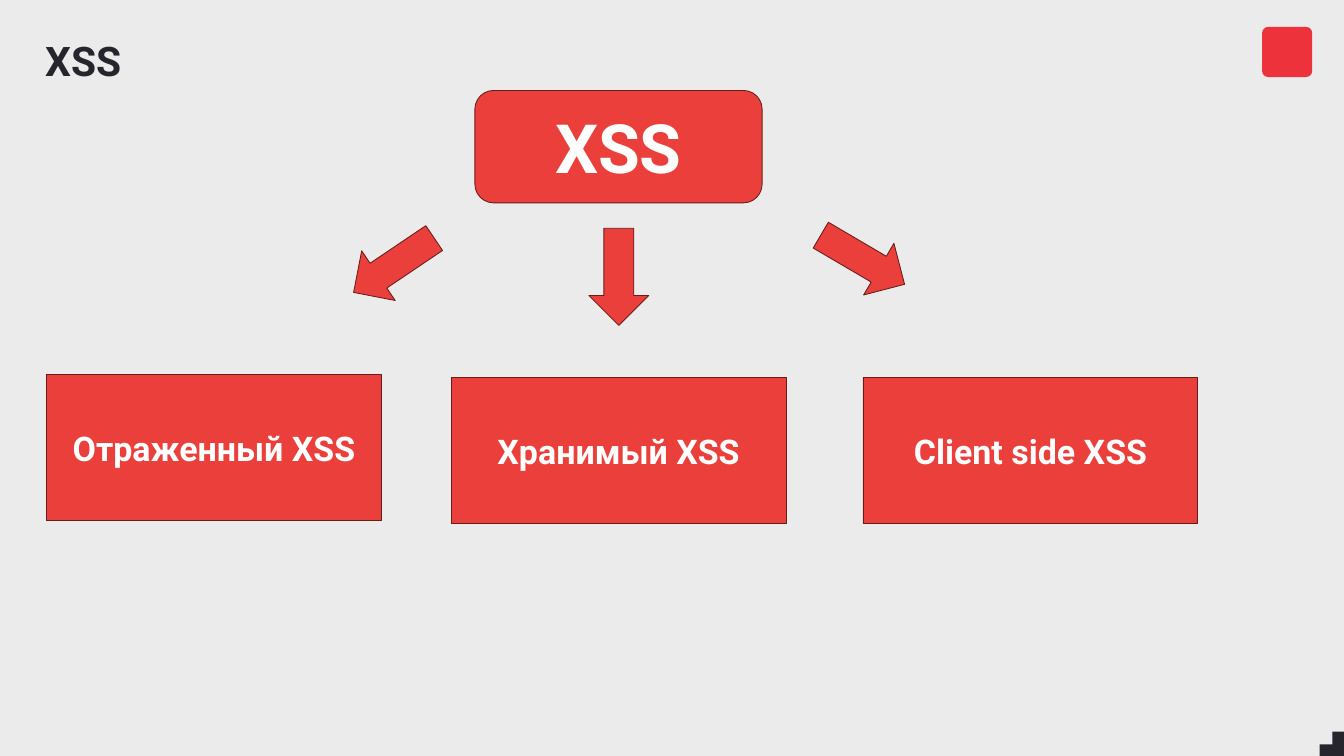
import dataclasses

import pptx
import pptx.dml.color
import pptx.enum.shapes
import pptx.enum.text
import pptx.util

Inches = pptx.util.Inches
Shapes = pptx.enum.shapes.MSO_SHAPE
Align = pptx.enum.text.PP_ALIGN
Anchor = pptx.enum.text.MSO_ANCHOR


@dataclasses.dataclass(frozen=True)
class Theme:
    font: str = "Roboto"
    background: str = "EBEBEB"
    dark: str = "26242D"
    white: str = "FFFFFF"
    red: str = "EA3F3B"
    outline: str = "671C1A"
    badge: str = "EE323C"
    title_size: int = 48
    root_size: int = 80
    type_size: int = 40


theme = Theme()
rgb = pptx.dml.color.RGBColor.from_string


def add_red_shape(kind, left, top, width, height):
    shape = slide.shapes.add_shape(
        kind, Inches(left), Inches(top), Inches(width), Inches(height))
    shape.shadow.inherit = False
    shape.fill.solid()
    shape.fill.fore_color.rgb = rgb(theme.red)
    shape.line.color.rgb = rgb(theme.outline)
    shape.line.width = pptx.util.Pt(1)
    return shape


def write_text(shape, text, size, color, alignment):
    frame = shape.text_frame
    frame.word_wrap = True
    frame.auto_size = pptx.enum.text.MSO_AUTO_SIZE.NONE
    frame.vertical_anchor = Anchor.MIDDLE
    para = frame.paragraphs[0]
    para.alignment = alignment
    para.line_spacing = 1.0
    para.space_before = pptx.util.Pt(0)
    span = para.add_run()
    span.text = text
    span.font.name = theme.font
    span.font.size = pptx.util.Pt(size)
    span.font.bold = True
    span.font.color.rgb = rgb(color)


deck = pptx.Presentation()
deck.slide_width = Inches(21.99)
deck.slide_height = Inches(12.37)
slide = deck.slides.add_slide(deck.slide_layouts[5])
slide.background.fill.solid()
slide.background.fill.fore_color.rgb = rgb(theme.background)

# Title
title = slide.shapes.title
title.left, title.top = Inches(0.64), Inches(0.5)
title.width, title.height = Inches(18.97), Inches(0.98)
write_text(title, "XSS", theme.title_size, theme.dark, Align.LEFT)

# Corner badge
badge = slide.shapes.add_shape(
    Shapes.ROUNDED_RECTANGLE, Inches(20.65), Inches(0.44), Inches(0.82), Inches(0.82))
badge.adjustments[0] = 0.12
badge.shadow.inherit = False
badge.fill.solid()
badge.fill.fore_color.rgb = rgb(theme.badge)
badge.line.fill.background()

# Stepped corner mark
builder = slide.shapes.build_freeform(Inches(21.99), Inches(12.37), scale=1.0)
steps = [(21.59, 12.37), (21.59, 12.18), (21.8, 12.18), (21.8, 11.97), (21.99, 11.97)]
builder.add_line_segments([(Inches(x), Inches(y)) for x, y in steps], close=True)
corner = builder.convert_to_shape()
corner.shadow.inherit = False
corner.fill.solid()
corner.fill.fore_color.rgb = rgb(theme.dark)
corner.line.fill.background()

# Root of the classification
root = add_red_shape(Shapes.FLOWCHART_ALTERNATE_PROCESS, 7.77, 1.48, 4.7, 1.84)
write_text(root, "XSS", theme.root_size, theme.white, Align.CENTER)

# XSS types
xss_types = [
    ("Отраженный XSS", 0.76, 6.13),
    ("Хранимый XSS", 7.38, 6.18),
    ("Client side XSS", 14.12, 6.18),
]
for name, left, top in xss_types:
    box = add_red_shape(Shapes.RECTANGLE, left, top, 5.48, 2.39)
    write_text(box, name, theme.type_size, theme.white, Align.CENTER)

# Arrows from the root to each type
for left, top, angle in [(5.65, 3.85, 146), (9.33, 4.04, 90), (13.32, 3.76, 30.4)]:
    arrow = add_red_shape(Shapes.RIGHT_ARROW, left, top, 1.59, 0.98)
    arrow.rotation = angle

deck.save("out.pptx")
